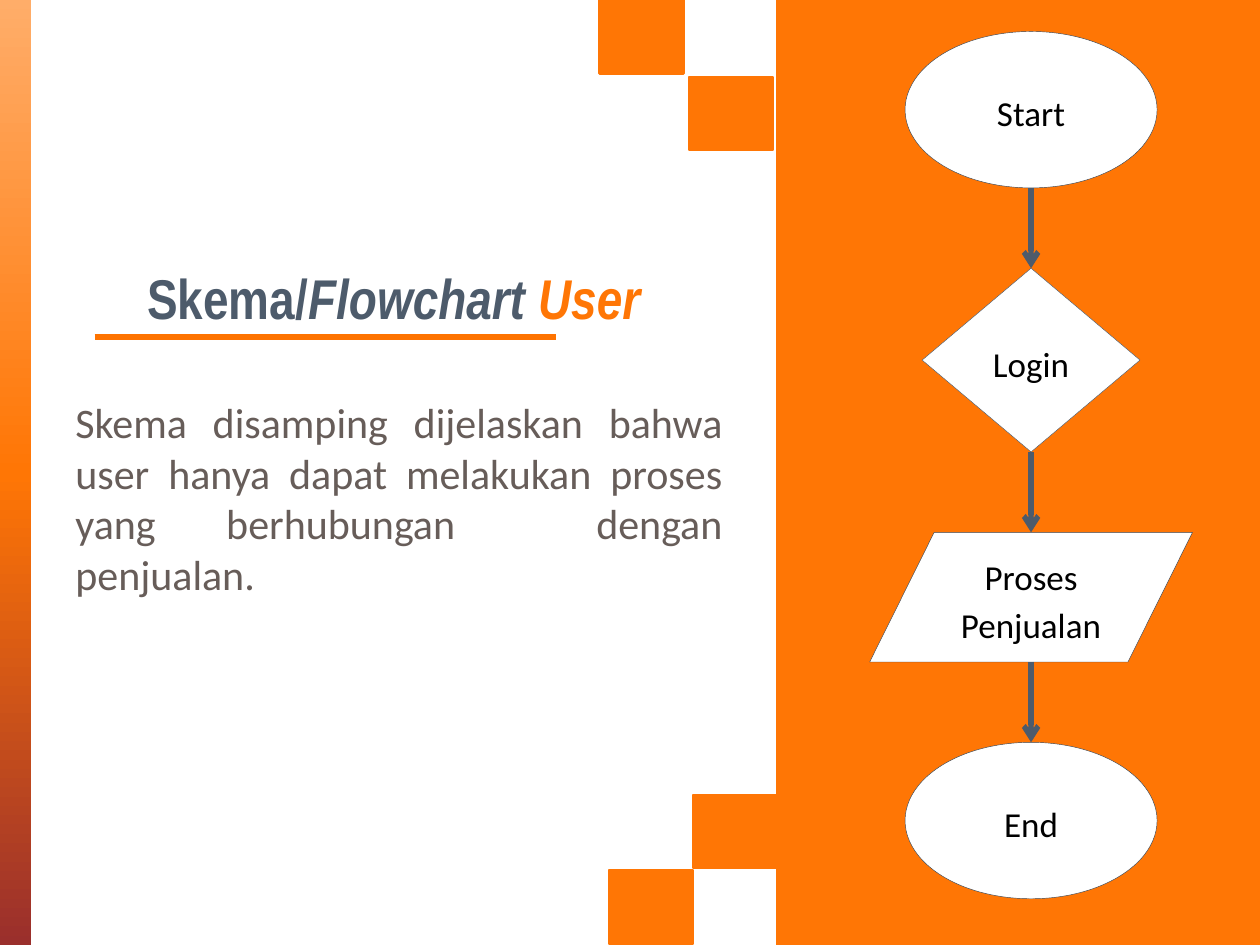
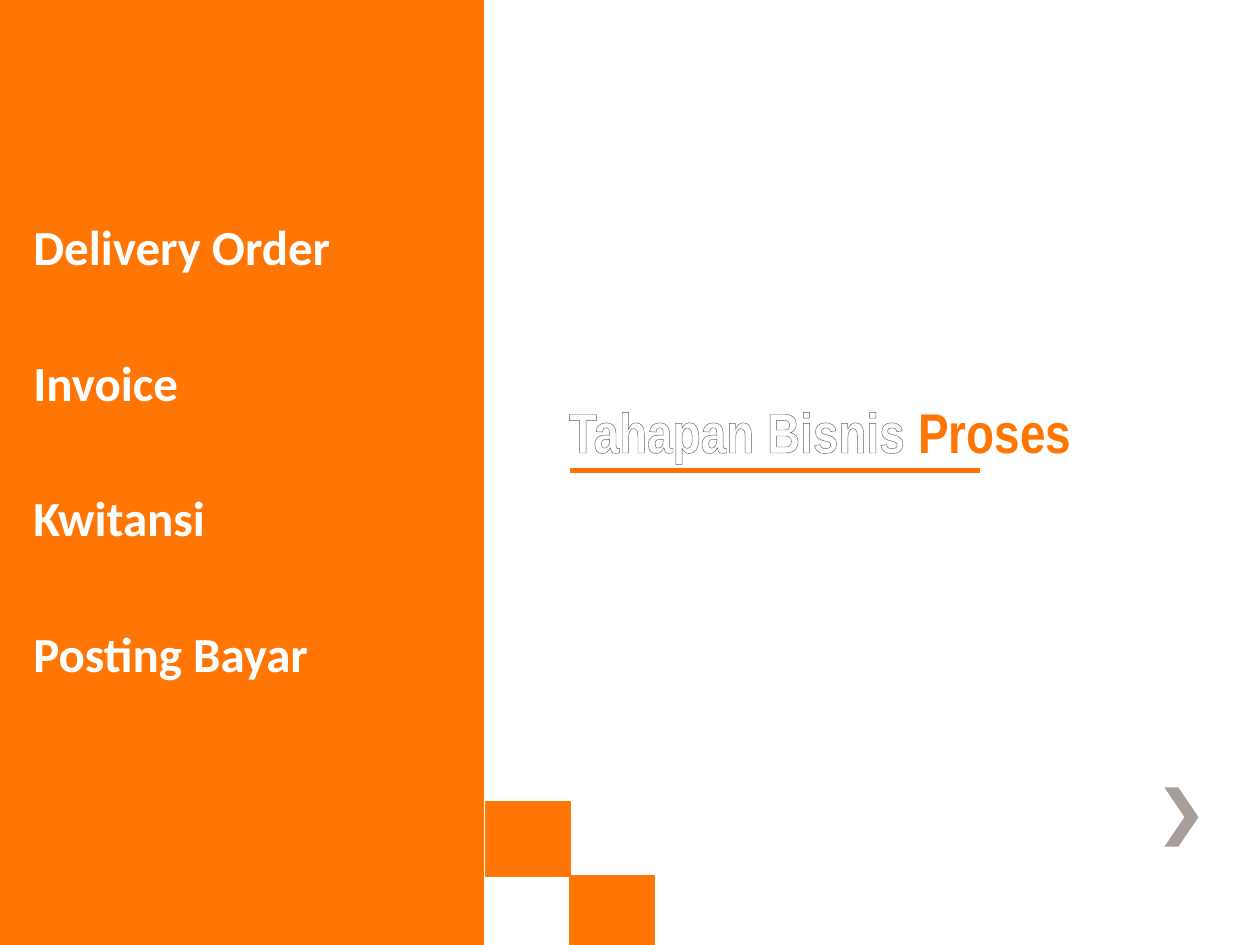
"""Build the two flowchart and business process slides."""
import copy
import typing

import lxml.etree
import pptx
import pptx.dml.color
import pptx.enum.dml
import pptx.enum.shapes
import pptx.enum.text
import pptx.oxml.ns
import pptx.util

RGB = pptx.dml.color.RGBColor
ORANGE = RGB(0xFF, 0x76, 0x05)
RULE_ORANGE = RGB(0xFE, 0x73, 0x00)
PEACH = RGB(0xFF, 0xAD, 0x69)
MAROON = RGB(0x9A, 0x2F, 0x2C)
SLATE = RGB(0x4D, 0x5B, 0x6B)
DARK_SLATE = RGB(0x39, 0x43, 0x4F)
TAUPE = RGB(0x67, 0x5D, 0x59)
LIGHT_TAUPE = RGB(0xA7, 0x9D, 0x99)
WHITE = RGB(0xFF, 0xFF, 0xFF)
BLACK = RGB(0x00, 0x00, 0x00)

TITLE_FONT = "Arial Narrow"
BODY_FONT = "Calibri"
COLUMNS, ROWS = 120, 90
CELL = pptx.util.Inches(10) // COLUMNS
TILE_WIDTH, TILE_HEIGHT = 8, 7

KIND = pptx.enum.shapes.MSO_SHAPE
ALIGN = pptx.enum.text.PP_ALIGN
ANCHOR = pptx.enum.text.MSO_ANCHOR
qn = pptx.oxml.ns.qn


class Box(typing.NamedTuple):
    """A region of the page in grid columns and rows."""
    left: float
    top: float
    width: float
    height: float

    def lengths(self):
        """Return the region as slide lengths."""
        return [round(value * CELL) for value in self]


def add_block(page, kind, box, fill, line=None, weight=1.25):
    """Add a flat shape filled with one colour."""
    shape = page.shapes.add_shape(kind, *box.lengths())
    shape.shadow.inherit = False
    shape.fill.solid()
    shape.fill.fore_color.rgb = fill
    if line is None:
        shape.line.fill.background()
    else:
        shape.line.color.rgb = line
        shape.line.width = pptx.util.Pt(weight)
    return shape


def add_line(page, start, end, color, arrow=False):
    """Add a straight line between two grid points."""
    points = [round(value * CELL) for value in (*start, *end)]
    line = page.shapes.add_connector(pptx.enum.shapes.MSO_CONNECTOR.STRAIGHT, *points)
    line.line.color.rgb = color
    line.line.width = pptx.util.Pt(3)
    properties = line._element.spPr
    if arrow:
        lxml.etree.SubElement(properties.find(qn("a:ln")), qn("a:tailEnd"), type="arrow")
    lxml.etree.SubElement(properties, qn("a:effectLst"))


def add_span(para, text, size, color, font=BODY_FONT, bold=False, italic=False):
    """Add one formatted run to a paragraph."""
    span = para.add_run()
    span.text = text
    span.font.name = font
    span.font.size = pptx.util.Pt(size)
    span.font.color.rgb = color
    span.font.bold = bold
    span.font.italic = italic
    return span


def outline_span(span, color):
    """Draw a one point outline round the letters of a run."""
    properties = span.font._element
    line = lxml.etree.Element(qn("a:ln"), w=str(pptx.util.Pt(1)))
    fill = lxml.etree.SubElement(line, qn("a:solidFill"))
    lxml.etree.SubElement(fill, qn("a:srgbClr"), val=str(color))
    properties.insert(0, line)


def add_text_frame(page, box, anchor=ANCHOR.TOP):
    """Add a wrapping text box and return its frame."""
    frame = page.shapes.add_textbox(*box.lengths()).text_frame
    frame.word_wrap = True
    frame.vertical_anchor = anchor
    return frame


def add_title(page, box, spans, align, rule_left, rule_width):
    """Add a bold title with an orange rule under it."""
    para = add_text_frame(page, box, ANCHOR.BOTTOM).paragraphs[0]
    para.alignment = align
    for text, color, italic in spans:
        span = add_span(para, text, 32, color, TITLE_FONT, True, italic)
        if color == WHITE:
            outline_span(span, TAUPE)
    left, top = box.left + rule_left, box.top + box.height
    add_line(page, (left, top), (left + rule_width, top), RULE_ORANGE)


def add_tiles(page, corners):
    """Add orange tiles at the given grid corners."""
    for left, top in corners:
        add_block(page, KIND.RECTANGLE, Box(left, top, TILE_WIDTH, TILE_HEIGHT), ORANGE, ORANGE)


def add_gradient_band(page, box):
    """Add the vertical gradient at the edge of the page."""
    band = add_block(page, KIND.RECTANGLE, box, ORANGE)
    band.fill.gradient()
    band.fill.gradient_angle = 270
    stop_list = band._element.xpath(".//a:gsLst")[0]
    stop_list.append(copy.deepcopy(stop_list[0]))
    for stop, position, color in zip(band.fill.gradient_stops, (0, 0.5, 1), (PEACH, ORANGE, MAROON)):
        stop.position = position
        stop.color.rgb = color


def add_flowchart(page, box):
    """Stack the flow steps at equal gaps on an orange panel."""
    add_block(page, KIND.RECTANGLE, box, ORANGE, ORANGE)
    steps = [
        ("Start", KIND.OVAL, 24, 14.9, DARK_SLATE),
        ("Login", KIND.FLOWCHART_DECISION, 20.75, 17.5, SLATE),
        ("Proses Penjualan", KIND.FLOWCHART_DATA, 30.75, 12.35, DARK_SLATE),
        ("End", KIND.OVAL, 24, 14.9, DARK_SLATE),
    ]
    center, top, gap = box.left + 24.2, box.top + 3, 7.65
    for index, (label, kind, width, height, line) in enumerate(steps):
        if index:
            add_line(page, (center, top - gap), (center, top), SLATE, arrow=True)
        step = add_block(page, kind, Box(center - width / 2, top, width, height), WHITE, line, 0.25)
        step.text_frame.word_wrap = True
        step.text_frame.vertical_anchor = ANCHOR.MIDDLE
        para = step.text_frame.paragraphs[0]
        para.alignment = ALIGN.CENTER
        para.line_spacing = 1.15
        para.space_after = pptx.util.Pt(10)
        add_span(para, label, 20, BLACK)
        top += height + gap


def add_stage_panel(page, box):
    """List the business stages on an orange panel."""
    add_block(page, KIND.RECTANGLE, box, ORANGE, ORANGE)
    frame = add_text_frame(page, Box(box.left + 2, box.top + 20, box.width - 4, 59.4))
    for index, stage in enumerate(("Delivery Order", "Invoice", "Kwitansi", "Posting Bayar")):
        para = frame.add_paragraph() if index else frame.paragraphs[0]
        para.space_after = pptx.util.Pt(44)
        add_span(para, stage, 28, WHITE, bold=True)


def add_chevron(page, box):
    """Draw the thin chevron that points to the next page."""
    outline = [(0, 0), (0.41, 0), (1, 0.5), (0.41, 1), (0, 1), (0.59, 0.5)]
    points = [(round((box.left + x * box.width) * CELL), round((box.top + y * box.height) * CELL))
              for x, y in outline]
    builder = page.shapes.build_freeform(*points[0])
    builder.add_line_segments(points[1:], close=True)
    chevron = builder.convert_to_shape()
    chevron.shadow.inherit = False
    chevron.fill.solid()
    chevron.fill.fore_color.rgb = LIGHT_TAUPE
    chevron.line.fill.background()


def build_flowchart_page(page, box):
    """Place the user flowchart and its explanation."""
    add_gradient_band(page, Box(box.left, box.top, 3, box.height))
    title = [("Skema/", SLATE, False), ("Flowchart ", SLATE, True), ("User", ORANGE, True)]
    add_title(page, Box(box.left + 7, box.top + 19.3, 61, 12.8), title, ALIGN.CENTER, 2, 44)
    para = add_text_frame(page, Box(box.left + 6, box.top + 37.2, 64, 48.4)).paragraphs[0]
    para.alignment = ALIGN.JUSTIFY
    add_span(para, "Skema disamping dijelaskan bahwa user hanya dapat melakukan proses "
                   "yang berhubungan  dengan penjualan.", 24, TAUPE)
    add_flowchart(page, Box(box.left + 74, box.top, 46, box.height))
    add_tiles(page, [(66, 75.7), (58, 82.9), (57.1, 0), (65.6, 7.3)])


def build_stages_page(page, box):
    """Place the list of stages beside the page title."""
    add_chevron(page, Box(box.left + 110.9, box.top + 75, 3.24, 5.64))
    add_stage_panel(page, Box(box.left, box.top, 46, box.height))
    title = [("Tahapan Bisnis ", WHITE, False), ("Proses", ORANGE, False)]
    add_title(page, Box(box.left + 53, box.top + 34.1, 67, 10.7), title, ALIGN.LEFT, 1.3, 39)
    add_tiles(page, [(46.3, 76.4), (54.3, 83.4)])


def main():
    """Build and save the deck."""
    deck = pptx.Presentation()
    deck.slide_width = COLUMNS * CELL
    deck.slide_height = ROWS * CELL
    for build_page in (build_flowchart_page, build_stages_page):
        page = deck.slides.add_slide(deck.slide_layouts[6])
        build_page(page, Box(0, 0, COLUMNS, ROWS))
    deck.save("out.pptx")


if __name__ == "__main__":
    main()
